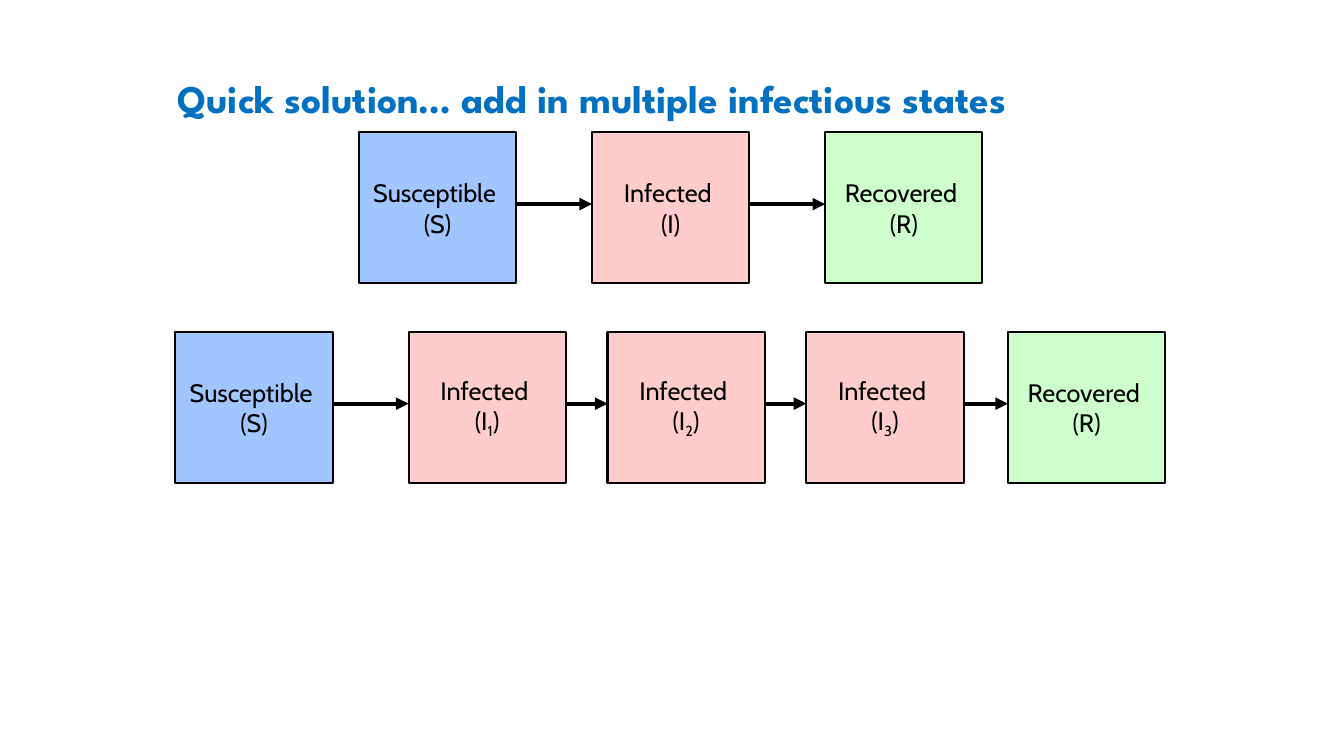
from lxml import etree
from pptx import Presentation
from pptx import util as u
from pptx.dml.color import RGBColor
from pptx.enum import shapes, text
from pptx.oxml.ns import qn

THEME = {
    "title": RGBColor(0x00, 0x70, 0xC0),
    "ink": RGBColor(0x00, 0x00, 0x00),
    "Susceptible": RGBColor(0xA1, 0xC5, 0xFF),
    "Infected": RGBColor(0xFF, 0xCC, 0xCC),
    "Recovered": RGBColor(0xCC, 0xFF, 0xCC),
    "title_font": "League Spartan",
    "body_font": "Cabin",
    "title_size": u.Pt(28),
    "body_size": u.Pt(18),
}

deck = Presentation()
deck.slide_width, deck.slide_height = u.Inches(13.33), u.Inches(7.5)
page = deck.slides.add_slide(deck.slide_layouts[6])


def across(percent):
    return round(deck.slide_width * percent / 100)


def down(percent):
    return round(deck.slide_height * percent / 100)


# Title
title = page.shapes.add_textbox(across(12.5), down(6.67), across(75), down(13.4))
title.text_frame.word_wrap = True
title.text_frame.vertical_anchor = text.MSO_ANCHOR.MIDDLE
para = title.text_frame.paragraphs[0]
para.text = "Quick solution… add in multiple infectious states"
para.line_spacing = 0.9
para.font.name, para.font.size = THEME["title_font"], THEME["title_size"]
para.font.bold = True
para.font.color.rgb = THEME["title"]

# Each model: left and top of its first box, then (state, letter, subscript, gap before);
# all lengths are percent of the slide
BOX_WIDTH, BOX_HEIGHT, ARROW_DROP = 11.7, 20, 9.5
models = [
    (26.7, 17.5, [("Susceptible", "S", "", 0), ("Infected", "I", "", 5.65),
                  ("Recovered", "R", "", 5.65)]),
    (13.05, 43.9, [("Susceptible", "S", "", 0), ("Infected", "I", "1", 5.65),
                   ("Infected", "I", "2", 3.1), ("Infected", "I", "3", 3.1),
                   ("Recovered", "R", "", 3.3)]),
]

for left, top, states in models:
    for state, letter, subscript, gap in states:
        # Arrow from the previous state
        if gap:
            level = down(top + ARROW_DROP)
            arrow = page.shapes.add_connector(
                shapes.MSO_CONNECTOR.STRAIGHT, across(left), level, across(left + gap), level)
            arrow.line.color.rgb = THEME["ink"]
            arrow.line.width = u.Pt(3)
            etree.SubElement(arrow.line._get_or_add_ln(), qn("a:tailEnd"), type="triangle")
            etree.SubElement(arrow._element.spPr, qn("a:effectLst"))
            left += gap

        # State box
        box = page.shapes.add_shape(
            shapes.MSO_SHAPE.RECTANGLE, across(left), down(top), across(BOX_WIDTH), down(BOX_HEIGHT))
        box.shadow.inherit = False
        box.fill.solid()
        box.fill.fore_color.rgb = THEME[state]
        box.line.color.rgb = THEME["ink"]
        box.line.width = u.Pt(1.5)

        # State name above its symbol
        frame = box.text_frame
        frame.word_wrap = False
        frame.vertical_anchor = text.MSO_ANCHOR.MIDDLE
        frame.text = state + " "
        symbol = frame.add_paragraph()
        for part in ("(" + letter, subscript, ")"):
            if part:
                span = symbol.add_run()
                span.text = part
                if part == subscript:
                    span.font._element.set("baseline", "-25000")
        for para in frame.paragraphs:
            para.alignment = text.PP_ALIGN.CENTER
            para.font.name, para.font.size = THEME["body_font"], THEME["body_size"]
            para.font.color.rgb = THEME["ink"]
        left += BOX_WIDTH

deck.save("out.pptx")
